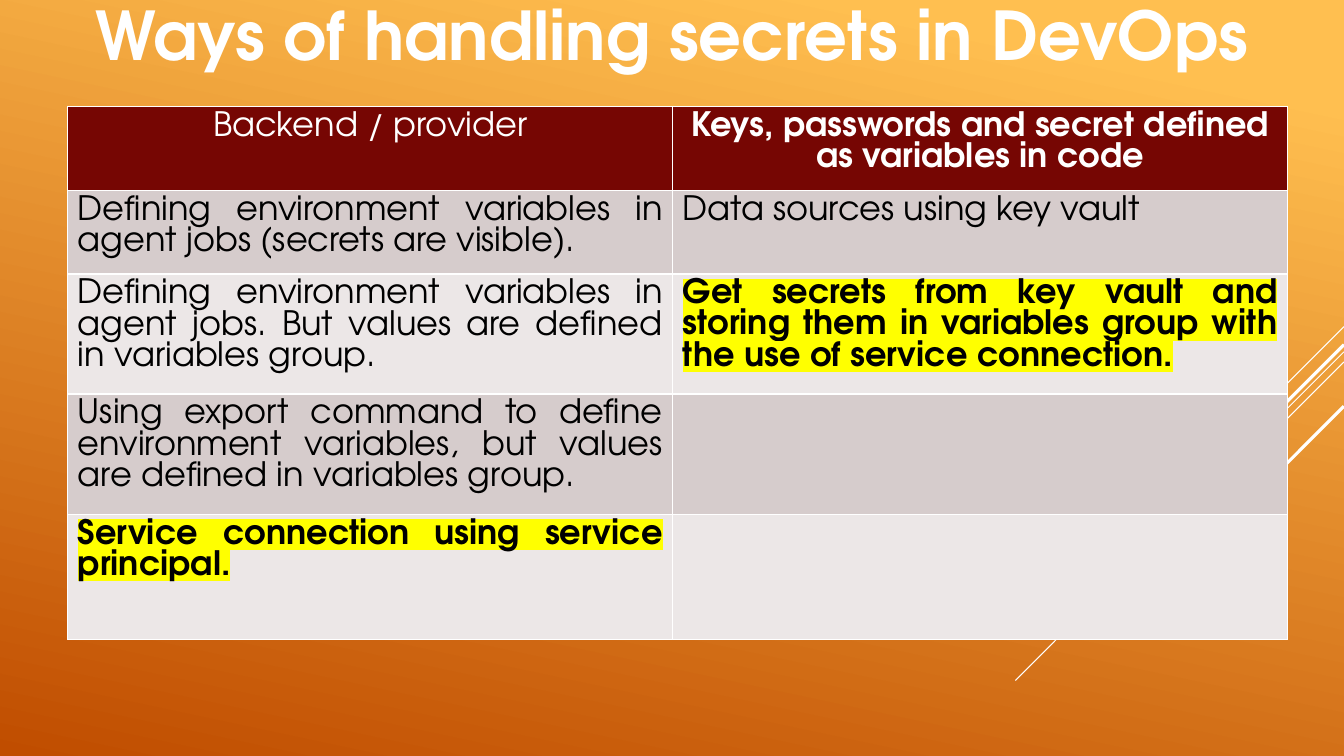
from dataclasses import dataclass

import pptx
import pptx.dml.color
import pptx.enum.shapes
import pptx.enum.text
import pptx.oxml
import pptx.oxml.ns
import pptx.util
from lxml import etree
from pptx.slide import Slide
from pptx.table import _Cell
from pptx.text.text import _Paragraph

Pt = pptx.util.Pt
ALIGN = pptx.enum.text.PP_ALIGN
FONT = "TeX Gyre Adventor"
WIDTH, HEIGHT = 960, 540
COLORS = {
    "white": "FFFFFF",
    "black": "000000",
    "head": "760603",
    "dark": "D6CCCC",
    "light": "ECE7E7",
    "mark": "FFFF00",
    "amber": "FFBF50",
    "rust": "C04D00",
}


@dataclass(frozen=True)
class Streak:
    top: float
    run: float
    weight: float


@dataclass(frozen=True)
class Entry:
    text: str = ""
    bold: bool = False
    mark: bool = False


@dataclass(frozen=True)
class Row:
    height: float
    left: Entry
    right: Entry


STREAKS = [
    Streak(233.3, 72, 0.75),
    Streak(251.3, 234.7, 0.75),
    Streak(258.5, 149, 0.75),
    Streak(246.2, 137.5, 2.25),
    Streak(290.2, 100.1, 2.25),
]
COLUMNS = [432, 439.2]
ROWS = [
    Row(59.8, Entry("Backend / provider"),
        Entry("Keys, passwords and secret defined as variables in code", True)),
    Row(59.8, Entry("Defining environment variables in agent jobs (secrets are visible)."),
        Entry("Data sources using key vault")),
    Row(85.8, Entry("Defining environment variables in agent jobs. But values are defined in variables group."),
        Entry("Get secrets from key vault and storing them in variables group "
              "with the use of service connection.", True, True)),
    Row(85.8, Entry("Using export command to define environment variables, "
                    "but values are defined in variables group."), Entry()),
    Row(89.6, Entry("Service connection using service principal.", True, True), Entry()),
]


def color(name: str) -> pptx.dml.color.RGBColor:
    return pptx.dml.color.RGBColor.from_string(COLORS[name])


def add_text(para: _Paragraph, entry: Entry, size: float, ink: str) -> None:
    run = para.add_run()
    run.text = entry.text
    font = run.font
    font.size = Pt(size)
    font.bold = entry.bold
    font.color.rgb = color(ink)
    font.name = FONT
    if entry.mark:
        light = etree.Element(pptx.oxml.ns.qn("a:highlight"))
        tint = etree.SubElement(light, pptx.oxml.ns.qn("a:srgbClr"))
        tint.set("val", COLORS["mark"])
        run._r.rPr.find(pptx.oxml.ns.qn("a:solidFill")).addnext(light)


def paint(slide: Slide) -> None:
    fill = slide.background.fill
    fill.gradient()
    fill.gradient_angle = 258
    for stop, place, name in zip(fill.gradient_stops, (0.1, 1), ("amber", "rust")):
        stop.color.rgb = color(name)
        stop.position = place


def add_streak(slide: Slide, streak: Streak) -> None:
    line = slide.shapes.add_connector(
        pptx.enum.shapes.MSO_CONNECTOR.STRAIGHT,
        Pt(WIDTH), Pt(streak.top),
        Pt(WIDTH - streak.run), Pt(streak.top + streak.run),
    )
    line.line.color.rgb = color("white")
    line.line.width = Pt(streak.weight)
    etree.SubElement(line._element.spPr, pptx.oxml.ns.qn("a:effectLst"))


def add_title(slide: Slide) -> None:
    title = slide.shapes.title
    title.left, title.top = Pt(48.2), Pt(1.4)
    title.width, title.height = Pt(863.3), Pt(55.4)
    frame = title.text_frame
    frame.word_wrap = True
    frame.auto_size = pptx.enum.text.MSO_AUTO_SIZE.NONE
    frame.vertical_anchor = pptx.enum.text.MSO_ANCHOR.BOTTOM
    para = frame.paragraphs[0]
    para.alignment = ALIGN.CENTER
    add_text(para, Entry("Ways of handling secrets in DevOps", True), 48, "white")


def add_edges(cell: _Cell) -> None:
    props = cell._tc.get_or_add_tcPr()
    for index, side in enumerate("LRTB"):
        edge = pptx.oxml.parse_xml(
            f'<a:ln{side} {pptx.oxml.ns.nsdecls("a")} w="{Pt(1)}"><a:solidFill>'
            f'<a:srgbClr val="{COLORS["white"]}"/></a:solidFill></a:ln{side}>'
        )
        props.insert(index, edge)


def fill_cell(cell: _Cell, entry: Entry, index: int) -> None:
    head = index == 0
    shade = "head" if head else ("light", "dark")[index % 2]
    cell.fill.solid()
    cell.fill.fore_color.rgb = color(shade)
    add_edges(cell)
    if entry.text:
        para = cell.text_frame.paragraphs[0]
        para.alignment = ALIGN.CENTER if head else ALIGN.JUSTIFY
        add_text(para, entry, 24, "white" if head else "black")


def add_grid(slide: Slide) -> None:
    frame = slide.shapes.add_table(
        len(ROWS), len(COLUMNS), Pt(48.5), Pt(76.1),
        Pt(sum(COLUMNS)), Pt(sum(row.height for row in ROWS)),
    )
    table = frame.table
    for column, width in zip(table.columns, COLUMNS):
        column.width = Pt(width)
    for index, row in enumerate(ROWS):
        table.rows[index].height = Pt(row.height)
        for place, entry in enumerate((row.left, row.right)):
            fill_cell(table.cell(index, place), entry, index)


def main() -> None:
    deck = pptx.Presentation()
    deck.slide_width, deck.slide_height = Pt(WIDTH), Pt(HEIGHT)
    slide = deck.slides.add_slide(deck.slide_layouts[5])
    paint(slide)
    for streak in STREAKS:
        add_streak(slide, streak)
    add_title(slide)
    add_grid(slide)
    deck.save("out.pptx")


if __name__ == "__main__":
    main()
